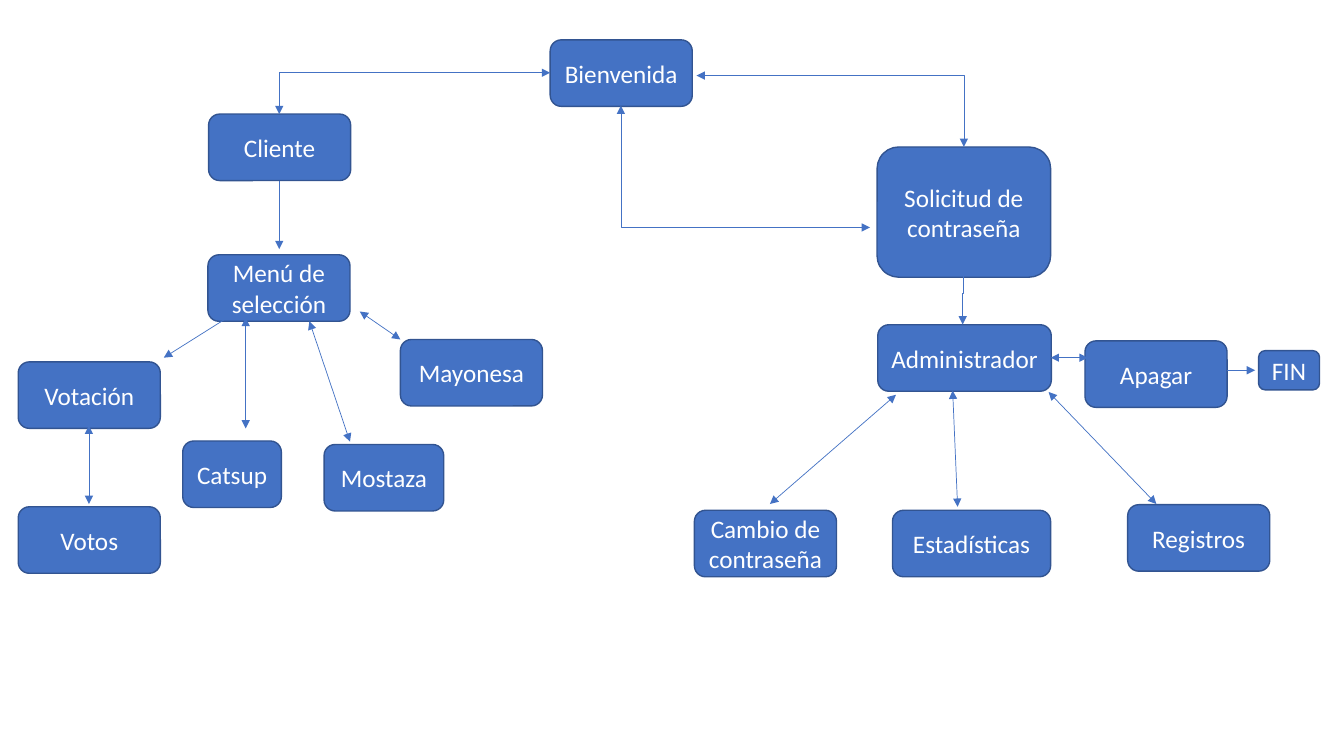
from pptx import Presentation
from pptx.dml.color import RGBColor
from pptx.enum.shapes import MSO_CONNECTOR, MSO_SHAPE
from pptx.enum.text import MSO_ANCHOR, PP_ALIGN
from pptx.oxml.ns import qn
from pptx.util import Pt
from lxml import etree

BLUE = RGBColor(0x44, 0x72, 0xC4)
NAVY = RGBColor(0x32, 0x54, 0x91)
WHITE = RGBColor(0xFF, 0xFF, 0xFF)
ROUND = MSO_SHAPE.ROUNDED_RECTANGLE
LINE, ELBOW = MSO_CONNECTOR.STRAIGHT, MSO_CONNECTOR.ELBOW
MIDDLE, CENTER = MSO_ANCHOR.MIDDLE, PP_ALIGN.CENTER
WIDE, HIGH = 101.5, 47.5

deck = Presentation()
deck.slide_width, deck.slide_height = Pt(960), Pt(540)
slide = deck.slides.add_slide(deck.slide_layouts[6])


def add_box(text, x, y, wide=WIDE, high=HIGH, size=18, font="Calibri", color=WHITE):
    """Add a rounded box with centred text."""
    box = slide.shapes.add_shape(ROUND, Pt(x), Pt(y), Pt(wide), Pt(high))
    box.shadow.inherit = False
    box.fill.solid()
    box.fill.fore_color.rgb = BLUE
    box.line.color.rgb = NAVY
    box.line.width = Pt(1)
    frame = box.text_frame
    frame.word_wrap = True
    frame.vertical_anchor = MIDDLE
    para = frame.paragraphs[0]
    para.alignment = CENTER
    run = para.add_run()
    run.text = text
    run.font.size = Pt(size)
    run.font.name = font
    run.font.color.rgb = color


def add_link(ends, kind=LINE, both=True):
    """Add a thin arrow with a head at its end, or at both ends."""
    link = slide.shapes.add_connector(kind, *[Pt(n) for n in ends])
    link.line.color.rgb = BLUE
    link.line.width = Pt(0.5)
    props = link._element.spPr
    for tag in ["a:headEnd", "a:tailEnd"] if both else ["a:tailEnd"]:
        etree.SubElement(props.find(qn("a:ln")), qn(tag), type="triangle")
    etree.SubElement(props, qn("a:effectLst"))
    return props


boxes = [
    ("Bienvenida", 393, 28.5),
    ("Cliente", 149, 81.5),
    ("Menú de selección", 148.5, 182),
    ("Mayonesa", 286, 242.5),
    ("Votación", 13, 258.5),
    ("Votos", 13, 362),
    ("Catsup", 130.5, 315, 70.5),
    ("Mostaza", 231.5, 317.5, 85.5),
    ("Solicitud de contraseña", 626.5, 105, 124, 93),
    ("Administrador", 627, 232, 124),
    ("Apagar", 775, 243.5),
    ("FIN", 899, 250.5, 43.5, 28),
    ("Cambio de contraseña", 496, 364.5),
    ("Estadísticas", 637.5, 364.5, 113),
    ("Registros", 805.5, 360.5),
]
for box in boxes:
    add_box(*box)

one_way = [
    (199.5, 129, 199.5, 178),  # Cliente to Menú
    (165.5, 225, 117, 255.5),  # Menú to Votación
    (876.5, 264.5, 896.5, 264.5),  # Apagar to FIN
]
for ends in one_way:
    add_link(ends, both=False)

two_way = [
    (63.5, 304, 63.5, 360),  # Votación, Votos
    (175.5, 227, 175.5, 306),  # Menú, Catsup
    (221, 229.5, 250, 315.5),  # Menú, Mostaza
    (257, 222.5, 286, 242.5),  # Menú, Mayonesa
    (640, 282, 550, 360),  # Administrador, Cambio
    (680.5, 279, 684, 362),  # Administrador, Estadísticas
    (749, 280, 826, 360),  # Administrador, Registros
    (750.5, 255.5, 777, 255.5),  # Administrador, Apagar
]
for ends in two_way:
    add_link(ends)

corners = [
    (393, 52, 199.5, 81.5),  # Bienvenida, Cliente
    (497.5, 54, 688.5, 105),  # Bienvenida, Solicitud
    (621.5, 162.5, 443.5, 75.5),  # Solicitud, Bienvenida
]
for ends in corners:
    add_link(ends, ELBOW).find(qn("a:prstGeom")).set("prst", "bentConnector2")

# Solicitud to Administrador: a sideways elbow turned by 90 degrees
step = add_link((666, 209.5, 710, 210.2), ELBOW, both=False)
step.find(qn("a:xfrm")).set("rot", "5400000")

deck.save("out.pptx")
